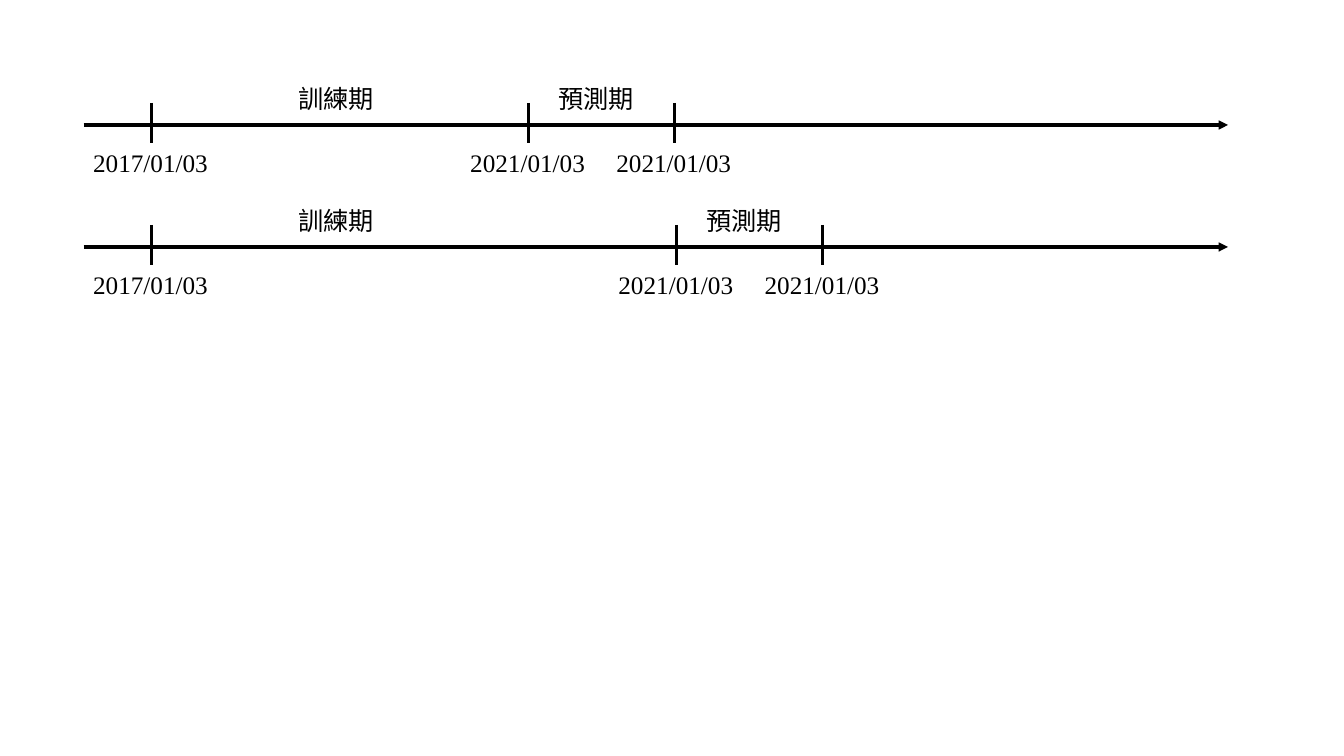
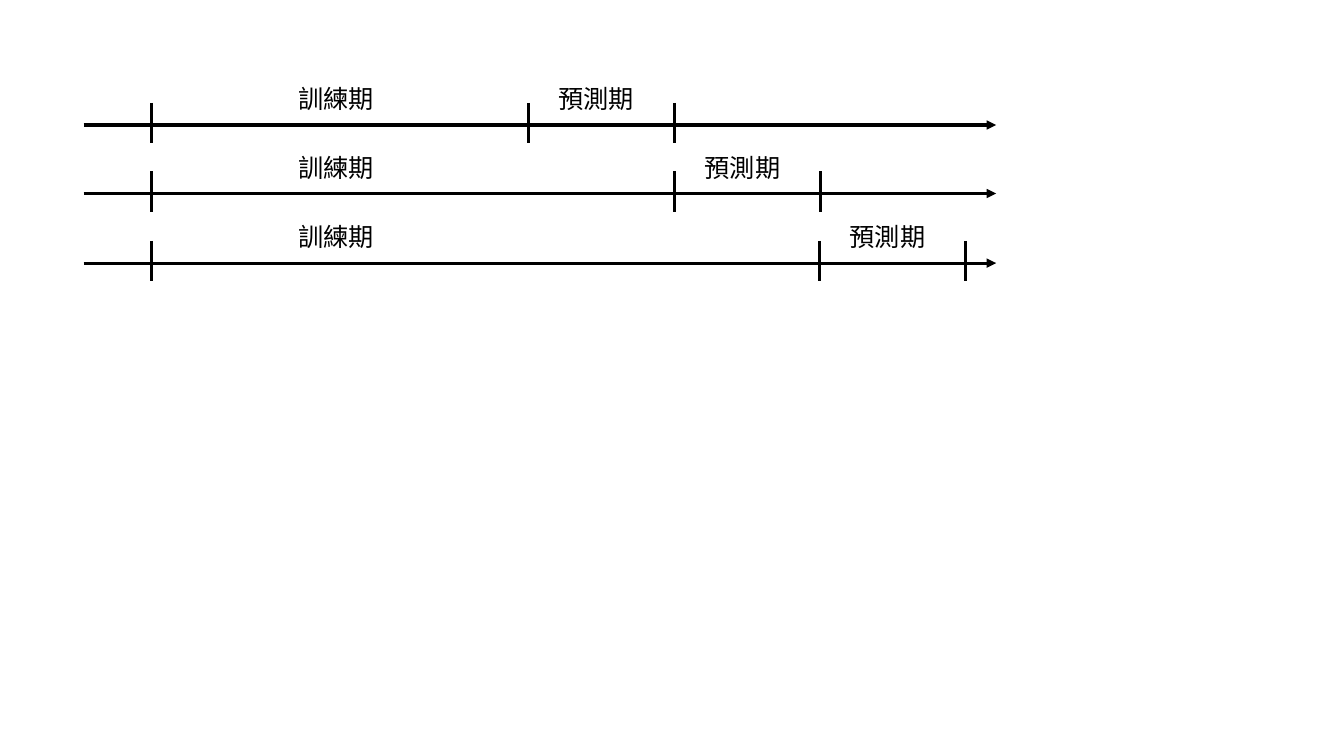
"""Build two slides of training and forecast timelines."""
from lxml import etree
from pptx import Presentation
from pptx import util as u
from pptx.dml.color import RGBColor
from pptx.enum import lang, shapes, text
from pptx.oxml.ns import qn

PX = 9144
WIDE, HIGH = 1333, 750
HUES = {"ink": "000000"}
FONT, SIZE, LINE = "Times New Roman", 18, 2.25
TRAIN, TEST = "訓練期", "預測期"
LEFT, START, SPAN = 83, 150, 145
TRAIN_X, TEST_GAP = 286, 20
UP, DOWN, RISE = 22, 18, 46
DATE_W, TERM_W, TEXT_H = 135, 96, 40

DATES = ["2017/01/03", "2021/01/03", "2021/01/03"]
SLIDES = [
    {"end": 1218, "dates": DATES, "rows": [(124, 524), (245, 671)]},
    {"end": 988, "dates": [], "rows": [(124, 524), (192, 669), (261, 813)]},
]


def ink():
    return RGBColor.from_string(HUES["ink"])


def draw(group, x1, y1, x2, y2, arrow=False):
    ends = [v * PX for v in (x1, y1, x2, y2)]
    line = group.shapes.add_connector(shapes.MSO_CONNECTOR.STRAIGHT, *ends)
    line.line.color.rgb = ink()
    line.line.width = u.Pt(LINE)
    if arrow:
        etree.SubElement(line.line._get_or_add_ln(), qn("a:tailEnd"), type="triangle")
    etree.SubElement(line._element.spPr, qn("a:effectLst"))


def write(group, words, x, y, wide, tongue):
    box = group.shapes.add_textbox(*[round(v * PX) for v in (x, y, wide, TEXT_H)])
    frame = box.text_frame
    frame.word_wrap = False
    frame.auto_size = text.MSO_AUTO_SIZE.SHAPE_TO_FIT_TEXT
    run = frame.paragraphs[0].add_run()
    run.text = words
    run.font.name = FONT
    run.font.size = u.Pt(SIZE)
    run.font.color.rgb = ink()
    run.font.language_id = tongue


def chart(slide, y, split, end, dates):
    group = slide.shapes.add_group_shape()
    ticks = [START, split, split + SPAN]
    draw(group, LEFT, y, end, y, arrow=True)
    for x in ticks:
        draw(group, x, y - UP, x, y + DOWN)
    for x, date in zip(ticks, dates):
        write(group, date, x - DATE_W / 2, y + DOWN - 1, DATE_W,
              lang.MSO_LANGUAGE_ID.ENGLISH_US)
    for words, x in [(TRAIN, TRAIN_X), (TEST, split + TEST_GAP)]:
        write(group, words, x, y - RISE, TERM_W,
              lang.MSO_LANGUAGE_ID.TRADITIONAL_CHINESE)


def main():
    deck = Presentation()
    deck.slide_width, deck.slide_height = WIDE * PX, HIGH * PX
    for page in SLIDES:
        slide = deck.slides.add_slide(deck.slide_layouts[6])
        for y, split in page["rows"]:
            chart(slide, y, split, page["end"], page["dates"])
    deck.save("out.pptx")


if __name__ == "__main__":
    main()
